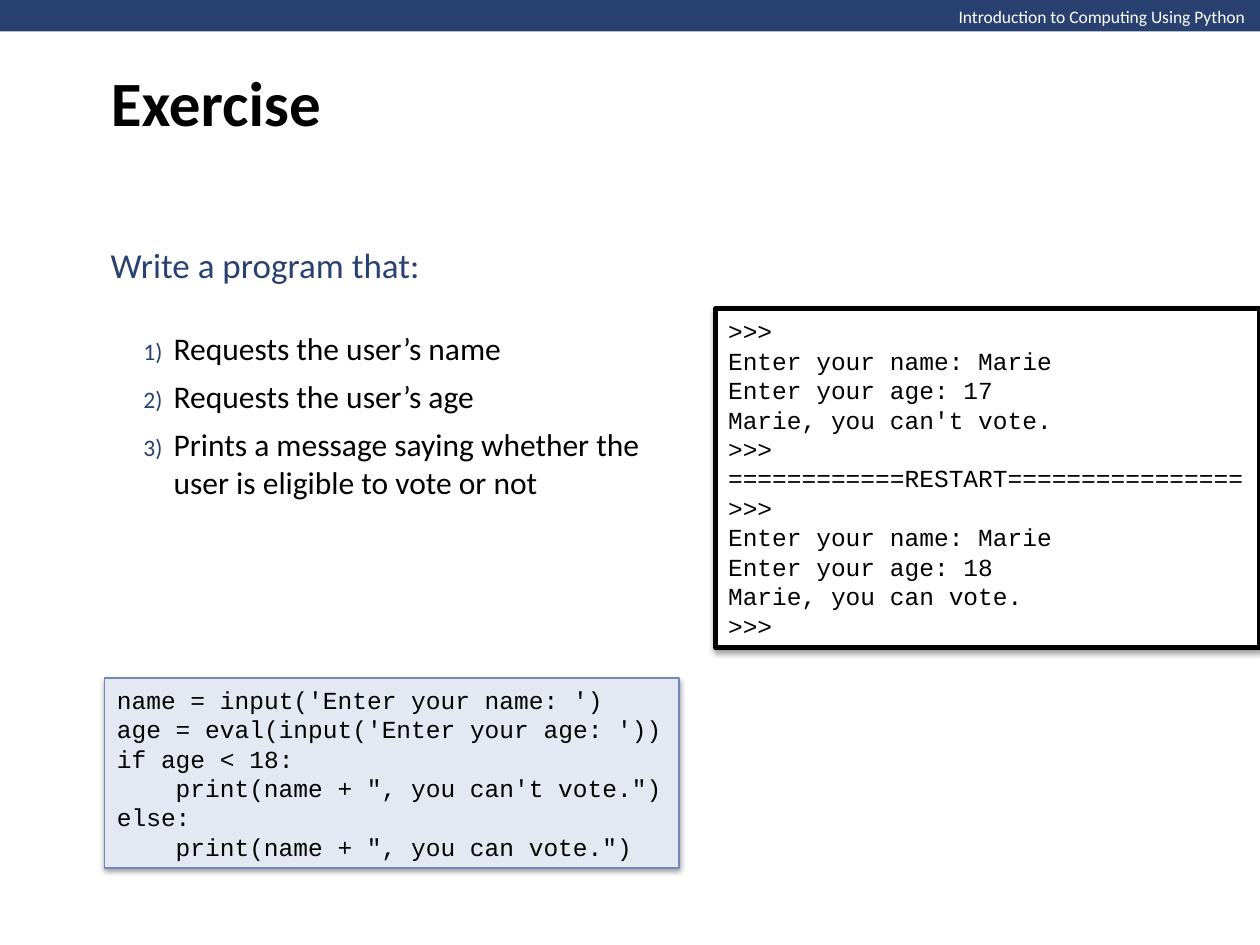
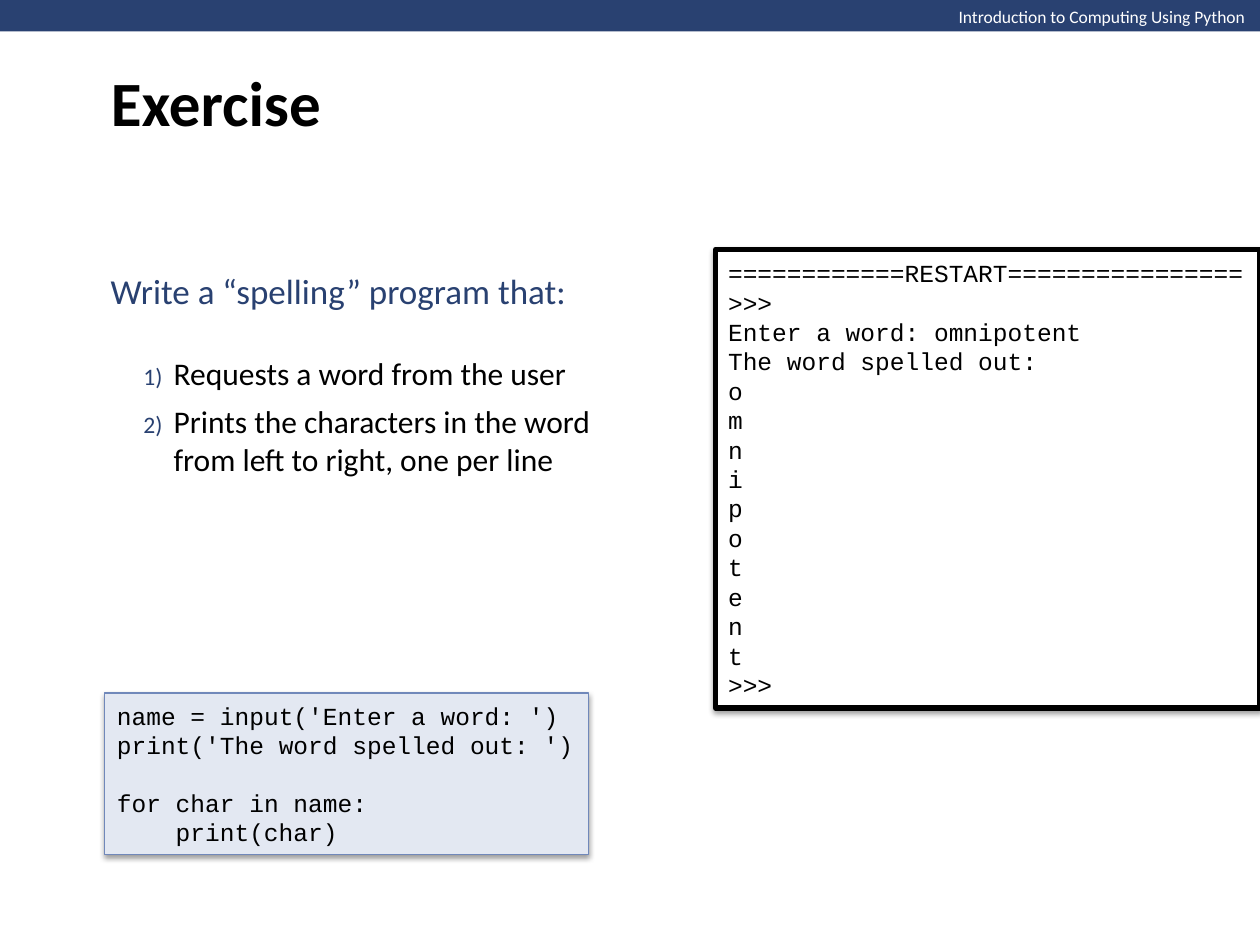
from lxml import etree
from pptx import Presentation
from pptx.dml.color import RGBColor
from pptx.enum.shapes import MSO_SHAPE as Shape
from pptx.enum.text import MSO_ANCHOR as Anchor, PP_ALIGN as Align
from pptx.oxml.ns import nsdecls
from pptx.util import Inches, Pt

NAVY = RGBColor(0x29, 0x41, 0x71)
PALE_BLUE = RGBColor(0xE3, 0xE8, 0xF2)
MID_BLUE = RGBColor(0x70, 0x88, 0xBA)
WHITE = RGBColor(0xFF, 0xFF, 0xFF)
BLACK = RGBColor(0x00, 0x00, 0x00)

BAND_FONT = {"name": "Calibri", "size": Pt(10), "color": WHITE}
TITLE_FONT = {"name": "Calibri", "size": Pt(36), "bold": True, "color": BLACK}
TASK_FONT = {"name": "Calibri", "size": Pt(20), "color": NAVY}
STEP_FONT = {"name": "Calibri", "size": Pt(18), "color": BLACK}
CODE_FONT = {"name": "Courier New", "size": Pt(14), "color": BLACK}
CODE_CHAR = 8.4
CODE_LINE = 15.86

SHADOW = f"""<a:effectLst {nsdecls("a")}>
<a:outerShdw blurRad="40000" dist="20000" dir="5400000" rotWithShape="0">
<a:srgbClr val="000000"><a:alpha val="38000"/></a:srgbClr>
</a:outerShdw></a:effectLst>"""
NUMBERING = f"""<a:list {nsdecls("a")}>
<a:buClr><a:srgbClr val="{NAVY}"/></a:buClr><a:buSzPct val="75000"/>
<a:buFont typeface="Calibri"/><a:buAutoNum type="arabicParenR"/></a:list>"""

EXERCISES = [
    {
        "task": "Write a program that:",
        "steps": [
            "Requests the user’s name",
            "Requests the user’s age",
            "Prints a message saying whether the user is eligible to vote or not",
        ],
        "task_at": (0.78, 1.88, 4.49, 2.15),
        "code_at": (0.83, 5.38, 4.56, 1.51),
        "console_at": (5.68, 2.45, 4.32, 2.69),
        "code": """name = input('Enter your name: ')
age = eval(input('Enter your age: '))
if age < 18:
    print(name + ", you can't vote.")
else:
    print(name + ", you can vote.")""",
        "console": """>>>
Enter your name: Marie
Enter your age: 17
Marie, you can't vote.
>>> ============RESTART================
>>>
Enter your name: Marie
Enter your age: 18
Marie, you can vote.
>>>""",
    },
    {
        "task": "Write a “spelling” program that:",
        "steps": [
            "Requests a word from the user",
            "Prints the characters in the word from left to right, one per line",
        ],
        "task_at": (0.78, 2.08, 4.49, 1.77),
        "code_at": (0.83, 5.5, 3.84, 1.28),
        "console_at": (5.68, 1.98, 4.32, 3.64),
        "code": """name = input('Enter a word: ')
print('The word spelled out: ')

for char in name:
    print(char)""",
        "console": "\n".join([
            "============RESTART================",
            ">>>",
            "Enter a word: omnipotent",
            "The word spelled out:",
            *"omnipotent",
            ">>>",
        ]),
    },
]


def write(frame, text, font, margin=0, indent=0):
    last = frame.paragraphs[-1]
    paragraph = frame.add_paragraph() if last.runs else last
    paragraph.alignment = Align.LEFT
    run = paragraph.add_run()
    run.text = text
    for key, value in font.items():
        if key == "color":
            run.font.color.rgb = value
        else:
            setattr(run.font, key, value)
    properties = paragraph._p.get_or_add_pPr()
    properties.set("marL", str(int(margin)))
    properties.set("indent", str(int(indent)))
    return paragraph


def add_listing(slide, text, place, fill, line, width):
    panel = slide.shapes.add_shape(Shape.RECTANGLE, *map(Inches, place))
    panel.fill.solid()
    panel.fill.fore_color.rgb = fill
    panel.line.color.rgb = line
    panel.line.width = Pt(width)
    panel._element.spPr.append(etree.fromstring(SHADOW))
    frame = panel.text_frame
    frame.word_wrap = True
    frame.vertical_anchor = Anchor.MIDDLE
    gap = 0
    for row in text.split("\n"):
        code = row.lstrip()
        if not code:
            gap += CODE_LINE
            continue
        margin = Pt(CODE_CHAR * (len(row) - len(code)))
        write(frame, code, CODE_FONT, margin).space_before = Pt(gap)
        gap = 0


deck = Presentation()
deck.slide_width = Inches(10)
deck.slide_height = Inches(7.5)

for exercise in EXERCISES:
    slide = deck.slides.add_slide(deck.slide_layouts[5])

    band = slide.shapes.add_shape(Shape.RECTANGLE, 0, 0, deck.slide_width, Inches(0.25))
    band.fill.solid()
    band.fill.fore_color.rgb = NAVY
    band.line.fill.background()
    band.shadow.inherit = False

    course = slide.shapes.add_textbox(Inches(7.51), 0, Inches(2.5), Inches(0.27))
    course.text_frame.word_wrap = False
    write(course.text_frame, "Introduction to Computing Using Python", BAND_FONT)

    title = slide.shapes.title
    title.left, title.top = Inches(0.78), 0
    title.width, title.height = Inches(8.5), Inches(1.61)
    title.text_frame.vertical_anchor = Anchor.MIDDLE
    write(title.text_frame, "Exercise", TITLE_FONT)

    task = slide.shapes.add_textbox(*map(Inches, exercise["task_at"])).text_frame
    task.word_wrap = True
    task.vertical_anchor = Anchor.MIDDLE
    heading = write(task, exercise["task"], TASK_FONT, Inches(0.5), Inches(-0.5))
    heading.space_after = Pt(24.4)
    for step in exercise["steps"]:
        item = write(task, step, STEP_FONT, Inches(0.5), Inches(-0.24))
        item.space_after = Pt(6)
        item._p.get_or_add_pPr().extend(list(etree.fromstring(NUMBERING)))

    add_listing(slide, exercise["code"], exercise["code_at"], PALE_BLUE, MID_BLUE, 0.75)
    add_listing(slide, exercise["console"], exercise["console_at"], WHITE, BLACK, 3)

deck.save("out.pptx")
